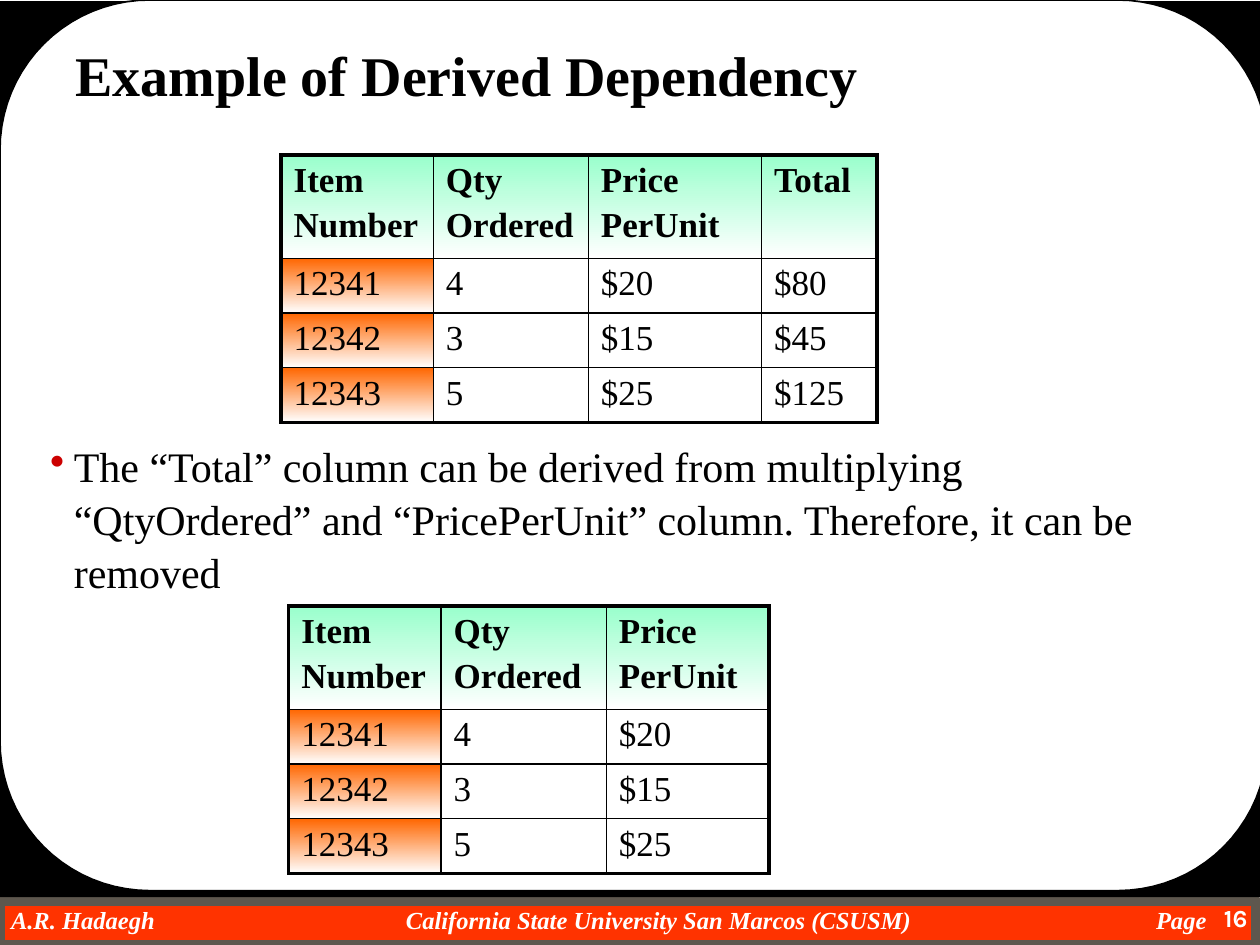
import math
from dataclasses import dataclass

import pptx
import pptx.dml.color
import pptx.enum.shapes
import pptx.enum.text
import pptx.oxml
import pptx.oxml.ns
import pptx.util
from pptx.util import Pt

COLORS = {"black": "000000", "white": "FFFFFF", "orange": "FF3300", "frame": "5E574E",
          "header": "99FFCC", "key": "FF6600", "bullet": "CC0000"}
SERIF = "Times New Roman"
HEADERS = ["Item\nNumber", "Qty\nOrdered", "Price\nPerUnit", "Total"]
ITEMS = [["12341", "4", "$20", "$80"],
         ["12342", "3", "$15", "$45"],
         ["12343", "5", "$25", "$125"]]


@dataclass
class Box:
    x: float
    y: float
    w: float
    h: float

    def lengths(self) -> list:
        return [Pt(v) for v in (self.x, self.y, self.w, self.h)]


@dataclass
class Style:
    size: float
    color: str = "black"
    bold: bool = False
    italic: bool = False
    font: str = SERIF


@dataclass
class ItemTable:
    x: float
    y: float
    widths: list


TABLES = [ItemTable(160.6, 88.6, [87, 88.6, 99, 66]),
          ItemTable(165, 346.3, [87, 94.5, 93])]


def rgb(name: str):
    return pptx.dml.color.RGBColor.from_string(COLORS[name])


def xml(text: str):
    ns = pptx.oxml.ns.nsdecls("a")
    return pptx.oxml.parse_xml(text.replace(" ", f" {ns} ", 1))


def add_run(p, text: str, style: Style) -> None:
    r = p.add_run()
    r.text = text
    r.font.name, r.font.size = style.font, Pt(style.size)
    r.font.bold, r.font.italic = style.bold, style.italic
    r.font.color.rgb = rgb(style.color)


def add_text(s, box: Box, text: str, style: Style, insets=(7.2, 3.6)):
    tf = s.shapes.add_textbox(*box.lengths()).text_frame
    tf.word_wrap = True
    tf.margin_left = tf.margin_right = Pt(insets[0])
    tf.margin_top = tf.margin_bottom = Pt(insets[1])
    add_run(tf.paragraphs[0], text, style)
    return tf.paragraphs[0]


def paint(sp, fill: str, line: str = "", width: float = 0) -> None:
    sp.shadow.inherit = False
    sp.fill.solid()
    sp.fill.fore_color.rgb = rgb(fill)
    if line:
        sp.line.color.rgb, sp.line.width = rgb(line), Pt(width)
    else:
        sp.line.fill.background()


def add_rect(s, box: Box, fill: str, line: str = "", width: float = 0) -> None:
    kind = pptx.enum.shapes.MSO_SHAPE.RECTANGLE
    paint(s.shapes.add_shape(kind, *box.lengths()), fill, line, width)


def add_rounded_panel(s, w: float, h: float, radius: float, steps: int = 20) -> None:
    centers = [(w - radius, h - radius), (radius, h - radius), (radius, radius), (w - radius, radius)]
    points = []
    for corner, (cx, cy) in enumerate(centers):
        for i in range(steps + 1):
            a = (corner + i / steps) * math.pi / 2
            points.append((Pt(cx + radius * math.cos(a)), Pt(cy + radius * math.sin(a))))
    builder = s.shapes.build_freeform(*points[0])
    builder.add_line_segments(points[1:], close=True)
    paint(builder.convert_to_shape(), "white", "black", 1)


def set_borders(cell, widths: dict) -> None:
    for side, width in widths.items():
        cell._tc.get_or_add_tcPr().append(xml(
            f'<a:ln{side} w="{Pt(width)}"><a:solidFill><a:srgbClr val="{COLORS["black"]}"/>'
            f'</a:solidFill></a:ln{side}>'))


def fill_cell(cell, top_color: str) -> None:
    if not top_color:
        cell.fill.background()
        return
    cell.fill.gradient()
    cell.fill.gradient_angle = 270
    for stop, color in zip(cell.fill.gradient_stops, (top_color, "white")):
        stop.color.rgb = rgb(color)


def add_item_table(s, spec_: ItemTable) -> None:
    cols = len(spec_.widths)
    rows = [row[:cols] for row in [HEADERS, *ITEMS]]
    heights = [59] + [31.2] * len(ITEMS)
    box = Box(spec_.x, spec_.y, sum(spec_.widths), sum(heights))
    table = s.shapes.add_table(len(rows), cols, *box.lengths()).table
    table.first_row = table.horz_banding = False
    for column, width in zip(table.columns, spec_.widths):
        column.width = Pt(width)
    for i, row in enumerate(rows):
        table.rows[i].height = Pt(heights[i])
        for j, text in enumerate(row):
            cell = table.cell(i, j)
            outer = {"L": j == 0, "R": j == cols - 1, "T": i == 0, "B": i == len(rows) - 1}
            set_borders(cell, {side: 2.25 if edge else 1 for side, edge in outer.items()})
            fill_cell(cell, "header" if i == 0 else "key" if j == 0 else "")
            for k, line in enumerate(text.split("\n")):
                p = cell.text_frame.add_paragraph() if k else cell.text_frame.paragraphs[0]
                if k:
                    p.space_before = Pt(3.5)
                add_run(p, line, Style(20, bold=i == 0))


def add_footer(s) -> None:
    p = add_text(s, Box(0, 517, 718, 16.5),
                 "A.R. Hadaegh\tCalifornia State University San Marcos (CSUSM)\tPage",
                 Style(14, "white", True, True), (6.3, 0))
    stops = "".join(f'<a:tab pos="{Pt(x)}" algn="l"/>' for x in (225.7, 654.3))
    p._p.get_or_add_pPr().append(xml(f"<a:tabLst >{stops}</a:tabLst>"))


def add_bullet(p) -> None:
    pPr = p._p.get_or_add_pPr()
    pPr.set("marL", str(Pt(13.5)))
    pPr.set("indent", str(-Pt(13.5)))
    pPr.append(xml(f'<a:buClr ><a:srgbClr val="{COLORS["bullet"]}"/></a:buClr>'))
    pPr.append(xml('<a:buChar char="•"/>'))


def main() -> None:
    """Build the derived dependency slide."""
    prs = pptx.Presentation()
    prs.slide_width, prs.slide_height = Pt(720), Pt(540)
    s = prs.slides.add_slide(prs.slide_layouts[6])

    add_rect(s, Box(0, 514.8, 717.8, 25.2), "orange", "frame", 6)
    add_footer(s)
    add_rect(s, Box(0, 0.7, 720, 512), "black")
    add_rounded_panel(s, 724.3, 509, 85.5)
    page = add_text(s, Box(666, 512.6, 54, 27.4), "16", Style(14, "white", True, font="Karla"))
    page.alignment = pptx.enum.text.PP_ALIGN.RIGHT

    title = add_text(s, Box(36, 18, 661, 45.4), "Example of Derived Dependency", Style(32, bold=True))
    title.line_spacing = 1.05
    note = add_text(s, Box(21.6, 247, 677.5, 93.6),
                    "The “Total” column can be derived from multiplying “QtyOrdered” and "
                    "“PricePerUnit” column. Therefore, it can be removed", Style(24))
    note.line_spacing = 1.05
    add_bullet(note)

    for item_table in TABLES:
        add_item_table(s, item_table)
    prs.save("out.pptx")


if __name__ == "__main__":
    main()
